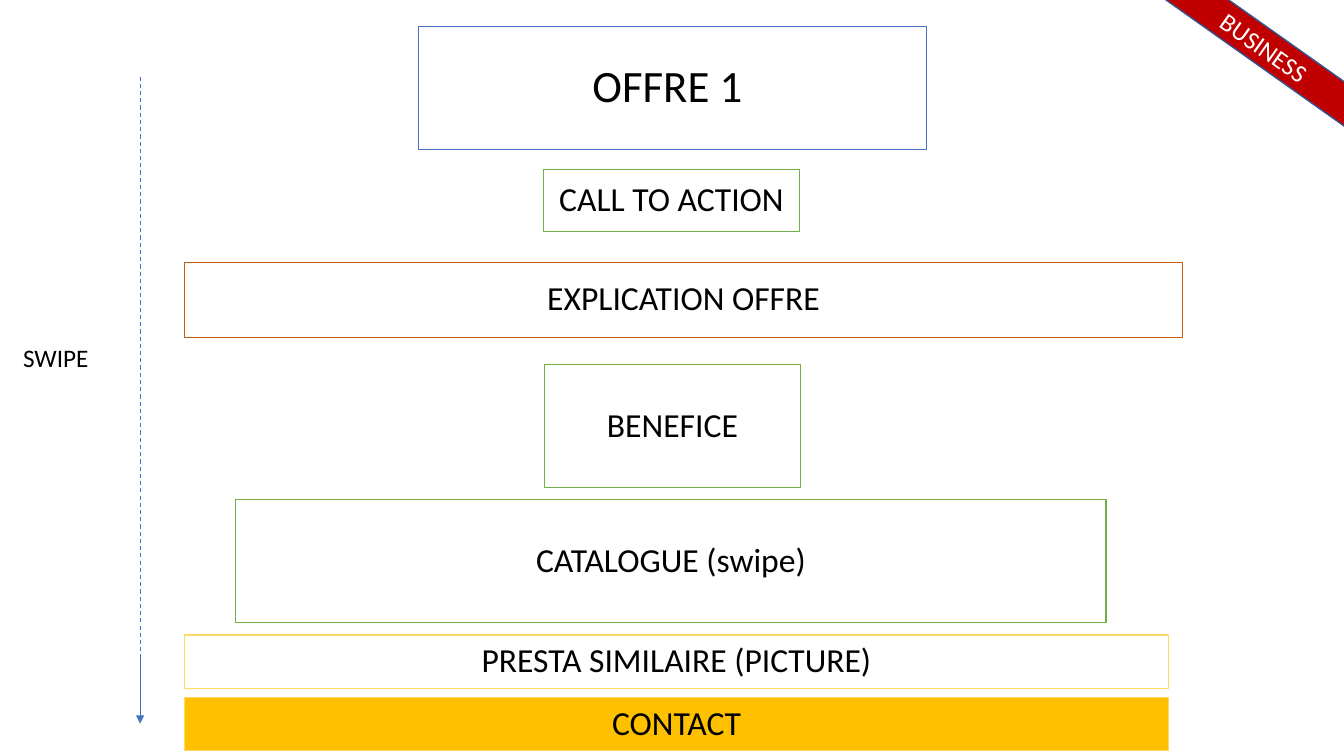
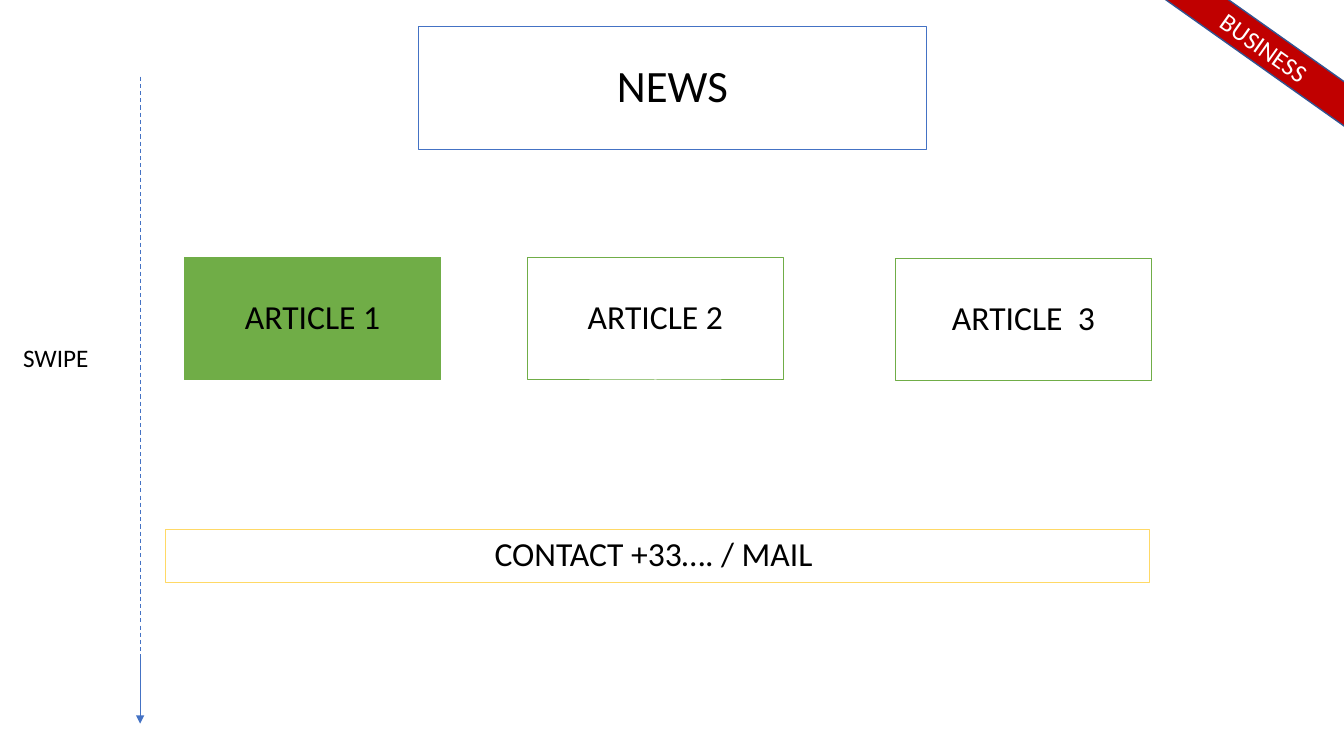
from pptx import Presentation
from pptx.dml.color import RGBColor
from pptx.enum.dml import MSO_LINE_DASH_STYLE as DASH
from pptx.enum.shapes import MSO_CONNECTOR, MSO_SHAPE
from pptx.enum.text import MSO_ANCHOR, MSO_AUTO_SIZE, PP_ALIGN
from pptx.oxml.ns import qn
from pptx.util import Inches, Pt
from lxml import etree

FONT = "Calibri"
COLORS = {
    "black": "000000", "white": "FFFFFF", "blue": "4472C4", "navy": "325491",
    "green": "70AD47", "yellow": "FFD966", "amber": "FFC000",
    "orange": "C55A11", "red": "C00000",
}
RGB = {name: RGBColor.from_string(code) for name, code in COLORS.items()}

# Shared sizes in inches
TITLE = (4.15, 0.26, 5.04, 1.22)
CARD_WIDTH, CARD_HEIGHT = 2.54, 1.22
BAR_WIDTH, BAR_HEIGHT = 9.76, 0.53
LEFT = 1.83
ARROW_X = 1.39


def add_box(page, text, place, line, fill=None, size=24, color="black",
            line_width=0.75, spacing=0.9):
    box = page.shapes.add_shape(MSO_SHAPE.RECTANGLE, *map(Inches, place))
    box.shadow.inherit = False
    if fill:
        box.fill.solid()
        box.fill.fore_color.rgb = RGB[fill]
    else:
        box.fill.background()
    box.line.color.rgb = RGB[line]
    box.line.width = Pt(line_width)
    frame = box.text_frame
    frame.word_wrap = True
    frame.vertical_anchor = MSO_ANCHOR.MIDDLE
    frame.text = text
    para = frame.paragraphs[0]
    para.alignment = PP_ALIGN.CENTER
    para.line_spacing = spacing
    style_text(para, size, color)
    return box


def style_text(para, size, color):
    for span in para.runs:
        span.font.name = FONT
        span.font.size = Pt(size)
        span.font.color.rgb = RGB[color]


# Boxes of each page: text, place, line colour, fill colour
offer_boxes = [
    ("CALL TO ACTION", (5.39, 1.68, CARD_WIDTH, 0.62), "green", "white"),
    ("EXPLICATION OFFRE", (LEFT, 2.6, 9.9, 0.75), "orange", None),
    ("BENEFICE", (5.4, 3.62, CARD_WIDTH, CARD_HEIGHT), "green", None),
    ("CATALOGUE (swipe)", (2.34, 4.96, 8.63, CARD_HEIGHT), "green", None),
    ("PRESTA SIMILAIRE (PICTURE)", (LEFT, 6.3, BAR_WIDTH, BAR_HEIGHT), "yellow", None),
    ("CONTACT", (LEFT, 6.92, BAR_WIDTH, BAR_HEIGHT), "yellow", "amber"),
]
news_boxes = [
    ("ARTICLE 1", (LEFT, 2.55, CARD_WIDTH, CARD_HEIGHT), "green", "green"),
    ("ARTICLE 2", (5.23, 2.55, CARD_WIDTH, CARD_HEIGHT), "green", None),
    ("ARTICLE  3", (8.88, 2.56, CARD_WIDTH, CARD_HEIGHT), "green", None),
    ("CONTACT +33…. / MAIL ", (1.64, 5.25, BAR_WIDTH, BAR_HEIGHT), "yellow", None),
]

deck = Presentation()
deck.slide_width, deck.slide_height = Inches(13.33), Inches(7.5)

for title, boxes in [("OFFRE 1 ", offer_boxes), ("NEWS", news_boxes)]:
    page = deck.slides.add_slide(deck.slide_layouts[6])

    # Title and content boxes
    add_box(page, title, TITLE, "blue", size=32)
    for text, place, line, fill in boxes:
        add_box(page, text, place, line, fill)

    # Corner ribbon
    ribbon = add_box(page, "BUSINESS", (11.27, 0.29, 2.54, 0.36), "navy", "red",
                     size=18, color="white", line_width=1, spacing=1.0)
    ribbon.rotation = 35.3

    # Swipe arrow: dashed shaft, then solid end with a head
    for top, bottom, width, is_head in [(0.76, 6.8, 0.75, False), (6.53, 7.18, 0.5, True)]:
        arrow = page.shapes.add_connector(
            MSO_CONNECTOR.STRAIGHT, Inches(ARROW_X), Inches(top), Inches(ARROW_X), Inches(bottom))
        arrow.line.color.rgb = RGB["blue"]
        arrow.line.width = Pt(width)
        properties = arrow._element.spPr
        if is_head:
            etree.SubElement(properties.find(qn("a:ln")), qn("a:tailEnd"), type="triangle")
        else:
            arrow.line.dash_style = DASH.DASH
        etree.SubElement(properties, qn("a:effectLst"))

    # Swipe label
    label = page.shapes.add_textbox(Inches(0.13), Inches(3.35), Inches(0.92), Inches(0.4))
    label.text_frame.word_wrap = True
    label.text_frame.auto_size = MSO_AUTO_SIZE.SHAPE_TO_FIT_TEXT
    label.text_frame.text = "SWIPE"
    style_text(label.text_frame.paragraphs[0], 18, "black")

deck.save("out.pptx")
